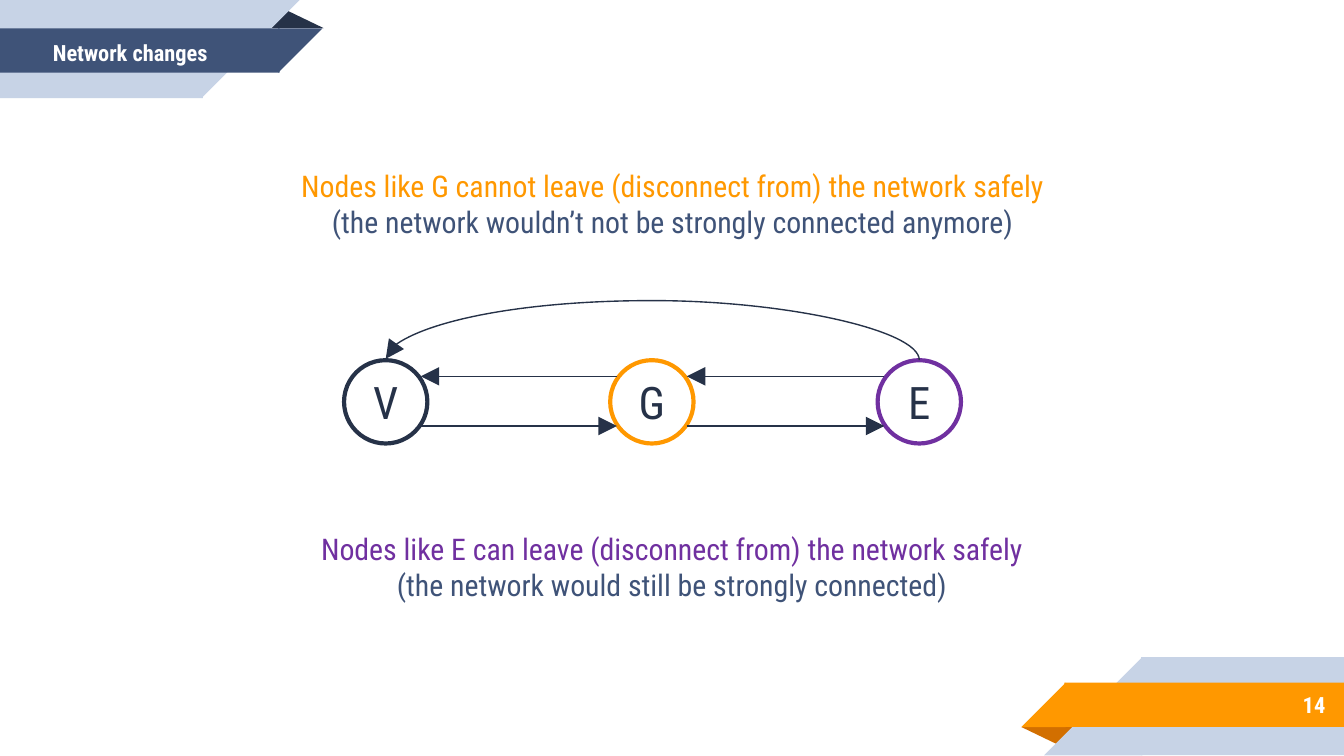
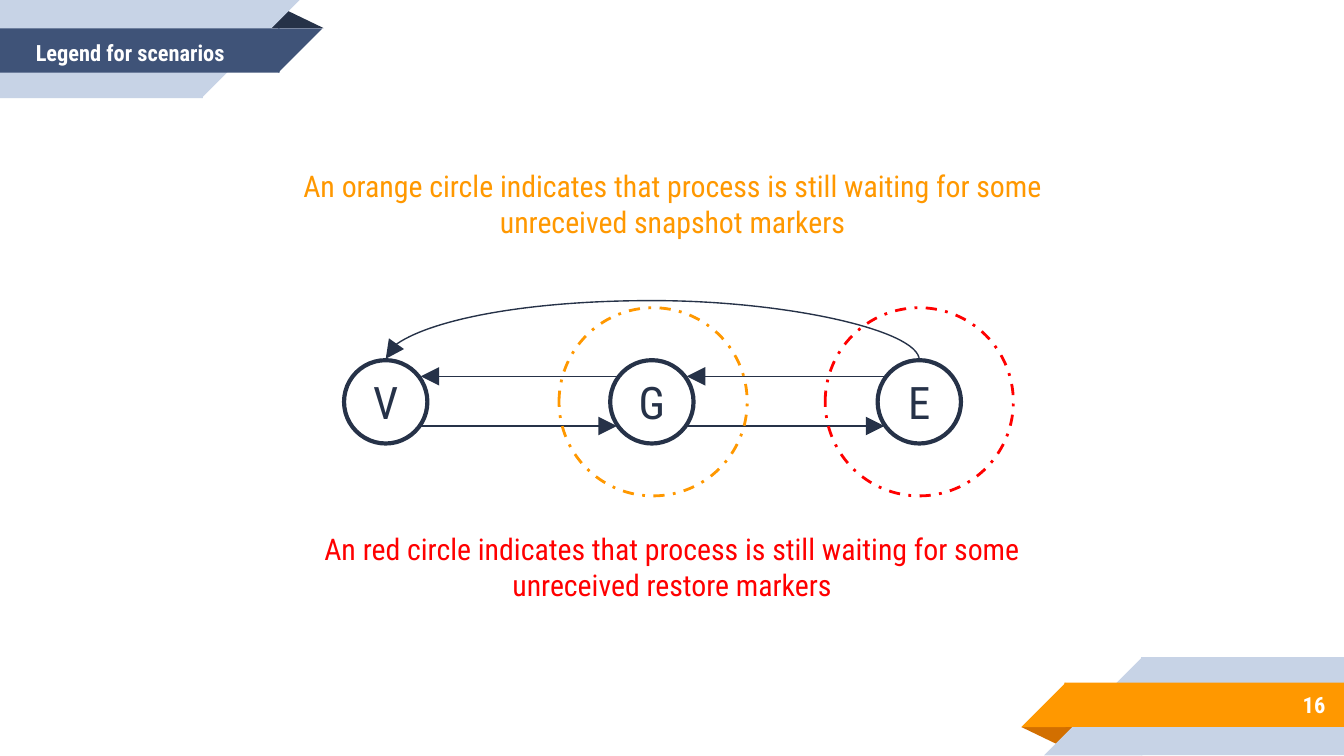
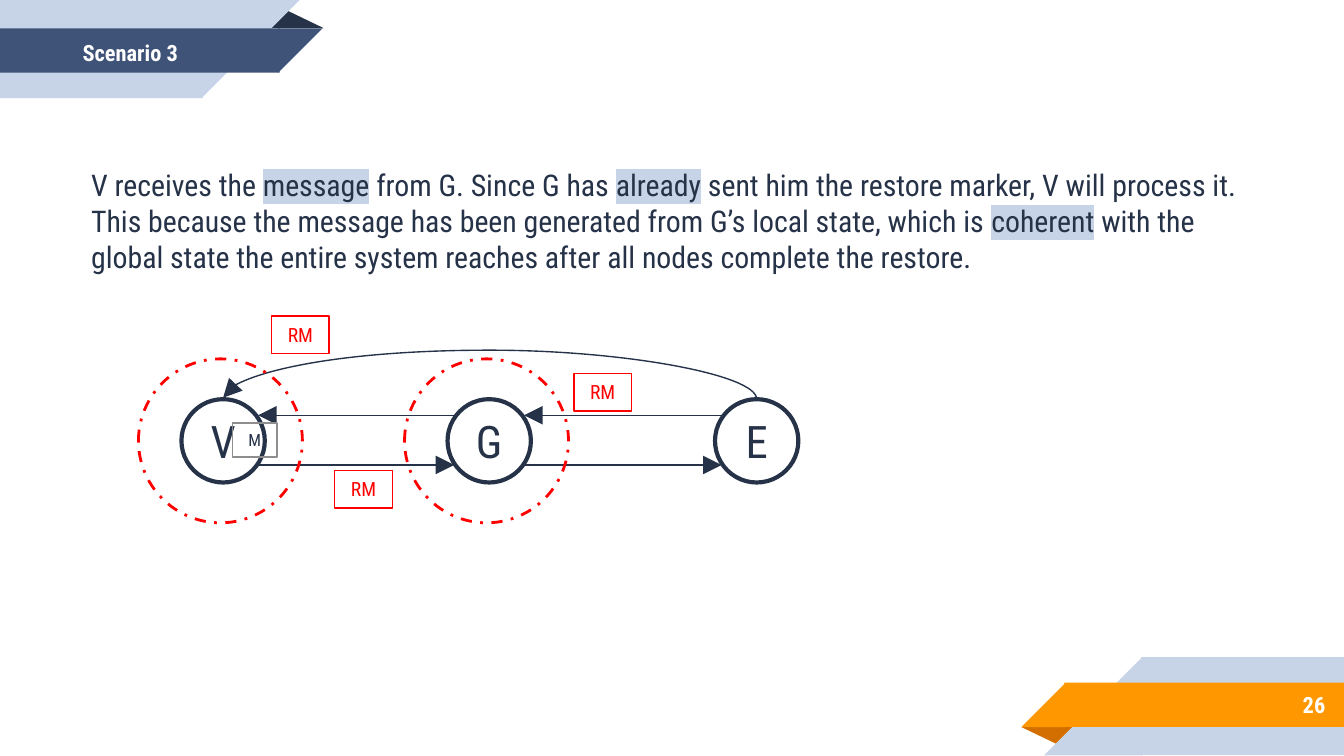
from itertools import pairwise

from lxml.etree import SubElement
from pptx import Presentation
from pptx.dml.color import RGBColor
from pptx.enum.dml import MSO_LINE
from pptx.enum.shapes import MSO_CONNECTOR, MSO_SHAPE as SHAPE
from pptx.enum.text import MSO_ANCHOR as ANCHOR, MSO_AUTO_SIZE, PP_ALIGN as ALIGN
from pptx.oxml.ns import qn
from pptx.util import Inches, Pt

FONT = "Roboto Condensed"
WHITE = RGBColor(0xFF, 0xFF, 0xFF)
NAVY = RGBColor(0x26, 0x32, 0x48)
BLUE = RGBColor(0x3F, 0x53, 0x78)
PALE = RGBColor(0xC7, 0xD3, 0xE6)
ORANGE = RGBColor(0xFF, 0x98, 0x00)
DARK_ORANGE = RGBColor(0xD2, 0x6F, 0x00)
PURPLE = RGBColor(0x70, 0x30, 0xA0)
RED = RGBColor(0xFF, 0x00, 0x00)
GREY = RGBColor(0x8E, 0x8E, 0x8E)

# Ribbon parts: preset, box (left, top, width, height), fill, rotation, flipped
RIBBONS = [
    (SHAPE.ISOSCELES_TRIANGLE, (1.98, 0.07, 0.43, 0.14), NAVY, 0, False),
    (SHAPE.RECTANGLE, (0, 0, 1.51, 0.73), PALE, 180, True),
    (SHAPE.RIGHT_TRIANGLE, (1.5, 0, 0.73, 0.73), PALE, 180, True),
    (SHAPE.RECTANGLE, (0, 0.21, 2.08, 0.33), BLUE, 180, True),
    (SHAPE.RIGHT_TRIANGLE, (2.07, 0.21, 0.33, 0.33), BLUE, 180, True),
    (SHAPE.ISOSCELES_TRIANGLE, (7.6, 5.41, 0.43, 0.14), DARK_ORANGE, 180, False),
    (SHAPE.RECTANGLE, (8.49, 4.89, 1.51, 0.73), PALE, 0, True),
    (SHAPE.RIGHT_TRIANGLE, (7.77, 4.89, 0.73, 0.73), PALE, 0, True),
    (SHAPE.RECTANGLE, (7.92, 5.08, 2.08, 0.33), ORANGE, 0, True),
    (SHAPE.RIGHT_TRIANGLE, (7.6, 5.08, 0.33, 0.33), ORANGE, 0, True),
]
TITLE_BOX = (-0.11, 0.23, 2.16, 0.33)
NUMBER_BOX = (8.33, 5.07, 1.63, 0.35)
UPPER_BOX = (1.94, 1.2, 6.13, 0.64)
LOWER_BOX = (2.14, 3.9, 5.72, 0.64)
STORY_BOX = (0.58, 1.19, 8.84, 0.91)

NODES = {"V": 0, "G": 1.98, "E": 3.97}  # name: distance from the first node
NODE_SIZE = 0.62
ARROW_INSET = 0.05
BACKWARD_Y, FORWARD_Y = 0.12, 0.49
CURVE_DROP = 0.01

# Captions hold paragraphs, a paragraph holds (text, colour, highlighted) runs
SLIDES = [
    {
        "title": "Network changes", "number": 14, "align": ALIGN.CENTER,
        "captions": [
            (UPPER_BOX, [
                [("Nodes like G cannot leave (disconnect from) the network safely", ORANGE, False)],
                [("(the network wouldn’t not be strongly connected anymore)", BLUE, False)],
            ]),
            (LOWER_BOX, [
                [("Nodes like E can leave (disconnect from) the network safely", PURPLE, False)],
                [("(the network would still be strongly connected)", BLUE, False)],
            ]),
        ],
        "network": (2.56, 2.68), "curve_rise": 0.45,
        "node_colors": {"G": ORANGE, "E": PURPLE},
    },
    {
        "title": "Legend for scenarios", "number": 16, "align": ALIGN.CENTER,
        "captions": [
            (UPPER_BOX, [[("An orange circle indicates that process is still waiting for some "
                           "unreceived snapshot markers", ORANGE, False)]]),
            (LOWER_BOX, [[("An red circle indicates that process is still waiting for some "
                           "unreceived restore markers", RED, False)]]),
        ],
        "network": (2.56, 2.68), "curve_rise": 0.45,
        "halos": [((4.16, 2.29, 1.4, 1.4), ORANGE), ((6.14, 2.29, 1.4, 1.4), RED)],
    },
    {
        "title": "Scenario 3", "number": 26, "align": ALIGN.LEFT,
        "captions": [
            (STORY_BOX, [[
                ("V receives the ", NAVY, False),
                ("message", NAVY, True),
                (" from G. Since G has ", NAVY, False),
                ("already", NAVY, True),
                (" sent him the restore marker, V will process it. This because the message "
                 "has been generated from G’s local state, which is ", NAVY, False),
                ("coherent", NAVY, True),
                (" with the global state the entire system reaches after all nodes complete "
                 "the restore.", NAVY, False),
            ]]),
        ],
        "network": (1.35, 2.97), "curve_rise": 0.37,
        "halos": [((1.03, 2.67, 1.22, 1.22), RED), ((3.01, 2.67, 1.22, 1.22), RED)],
        # text, box, size, text colour, line colour, line width
        "messages": [("M", (1.73, 3.15, 0.33, 0.25), 9, NAVY, GREY, 1)] + [
            ("RM", (left, top, 0.43, 0.28), 10.5, RED, RED, 0.75)
            for left, top in [(2.02, 2.35), (2.49, 3.5), (4.27, 2.78)]
        ],
    },
]


def inches(values):
    return [Inches(value) for value in values]


def style_font(font, size, color, bold=False):
    font.name, font.size, font.bold = FONT, Pt(size), bold
    font.color.rgb = color


def add_shape(slide, preset, box, fill=None, line=None, width=0.75):
    shape = slide.shapes.add_shape(preset, *inches(box))
    shape.shadow.inherit = False
    if fill is None:
        shape.fill.background()
    else:
        shape.fill.solid()
        shape.fill.fore_color.rgb = fill
    if line is None:
        shape.line.fill.background()
    else:
        shape.line.color.rgb = line
        shape.line.width = Pt(width)
    return shape


def write_label(shape, text, size, color, align=ALIGN.CENTER, anchor=ANCHOR.MIDDLE, bold=False):
    frame = shape.text_frame
    frame.word_wrap = True
    frame.vertical_anchor = anchor
    frame.text = text
    paragraph = frame.paragraphs[0]
    paragraph.alignment = align
    style_font(paragraph.runs[0].font, size, color, bold)


def add_ribbons(slide):
    for preset, box, fill, rotation, flipped in RIBBONS:
        shape = add_shape(slide, preset, box, fill)
        shape.rotation = rotation
        if preset == SHAPE.ISOSCELES_TRIANGLE:
            shape.adjustments[0] = 0.324
        if flipped:
            shape.element.spPr.find(qn("a:xfrm")).set("flipH", "1")


def add_ribbon_text(slide, text, box, align):
    text_box = slide.shapes.add_textbox(*inches(box))
    frame = text_box.text_frame
    frame.margin_top = frame.margin_bottom = Inches(0.1)
    write_label(text_box, text, 12, WHITE, align, bold=True)


def highlight(run):
    properties = run._r.rPr
    mark = SubElement(properties, qn("a:highlight"))
    SubElement(mark, qn("a:srgbClr")).set("val", str(PALE))
    properties.find(qn("a:solidFill")).addnext(mark)


def add_caption(slide, box, paragraphs, align):
    frame = slide.shapes.add_textbox(*inches(box)).text_frame
    frame.word_wrap = True
    frame.auto_size = MSO_AUTO_SIZE.SHAPE_TO_FIT_TEXT
    for index, runs in enumerate(paragraphs):
        paragraph = frame.add_paragraph() if index else frame.paragraphs[0]
        paragraph.alignment = align
        for text, color, highlighted in runs:
            run = paragraph.add_run()
            run.text = text
            style_font(run.font, 16, color)
            if highlighted:
                highlight(run)


def add_arrow(slide, kind, *ends):
    arrow = slide.shapes.add_connector(kind, *inches(ends))
    arrow.line.color.rgb = NAVY
    arrow.line.width = Pt(0.75)
    head = SubElement(arrow.line._get_or_add_ln(), qn("a:tailEnd"))
    for name, value in (("type", "triangle"), ("w", "lg"), ("len", "lg")):
        head.set(name, value)
    SubElement(arrow.element.spPr, qn("a:effectLst"))
    return arrow


def add_curve(slide, start_x, end_x, y, rise):
    """Arch from (start_x, y) back to end_x, as an S-curve turned a quarter left."""
    middle_x, middle_y = (start_x + end_x) / 2, y - CURVE_DROP / 2
    half_width, half_height = CURVE_DROP / 2, (start_x - end_x) / 2
    curve = add_arrow(slide, MSO_CONNECTOR.CURVE,
                      middle_x - half_width, middle_y + half_height,
                      middle_x + half_width, middle_y - half_height)
    properties = curve.element.spPr
    properties.find(qn("a:xfrm")).set("rot", str(270 * 60000))
    geometry = properties.find(qn("a:prstGeom"))
    guides = geometry.find(qn("a:avLst"))
    if guides is None:
        guides = SubElement(geometry, qn("a:avLst"))
    guide = SubElement(guides, qn("a:gd"))
    guide.set("name", "adj1")
    guide.set("fmla", f"val {round(rise / CURVE_DROP * 100000)}")


def add_network(slide, left, top, curve_rise, colors):
    for name, offset in NODES.items():
        node = add_shape(slide, SHAPE.OVAL, (left + offset, top, NODE_SIZE, NODE_SIZE),
                         line=colors.get(name, NAVY), width=2.25)
        write_label(node, name, 24, NAVY)
    for near, far in pairwise(NODES.values()):
        start = left + near + NODE_SIZE - ARROW_INSET
        end = left + far + ARROW_INSET
        add_arrow(slide, MSO_CONNECTOR.STRAIGHT, end, top + BACKWARD_Y, start, top + BACKWARD_Y)
        add_arrow(slide, MSO_CONNECTOR.STRAIGHT, start, top + FORWARD_Y, end, top + FORWARD_Y)
    first_x = left + NODE_SIZE / 2
    add_curve(slide, first_x + NODES["E"], first_x, top, curve_rise)


def build_slide(presentation, content):
    slide = presentation.slides.add_slide(presentation.slide_layouts[6])
    add_ribbons(slide)
    add_ribbon_text(slide, str(content["number"]), NUMBER_BOX, ALIGN.RIGHT)
    add_ribbon_text(slide, content["title"], TITLE_BOX, ALIGN.CENTER)
    for box, paragraphs in content["captions"]:
        add_caption(slide, box, paragraphs, content["align"])
    add_network(slide, *content["network"], content["curve_rise"], content.get("node_colors", {}))
    for box, color in content.get("halos", []):
        halo = add_shape(slide, SHAPE.OVAL, box, line=color, width=1.5)
        halo.line.dash_style = MSO_LINE.DASH_DOT
    for text, box, size, color, line, width in content.get("messages", []):
        message = add_shape(slide, SHAPE.RECTANGLE, box, line=line, width=width)
        write_label(message, text, size, color, anchor=ANCHOR.TOP)
        message.text_frame.auto_size = MSO_AUTO_SIZE.SHAPE_TO_FIT_TEXT


def main():
    presentation = Presentation()
    presentation.slide_width = Inches(10)
    presentation.slide_height = Inches(10 * 9 / 16)
    for content in SLIDES:
        build_slide(presentation, content)
    presentation.save("out.pptx")


if __name__ == "__main__":
    main()
